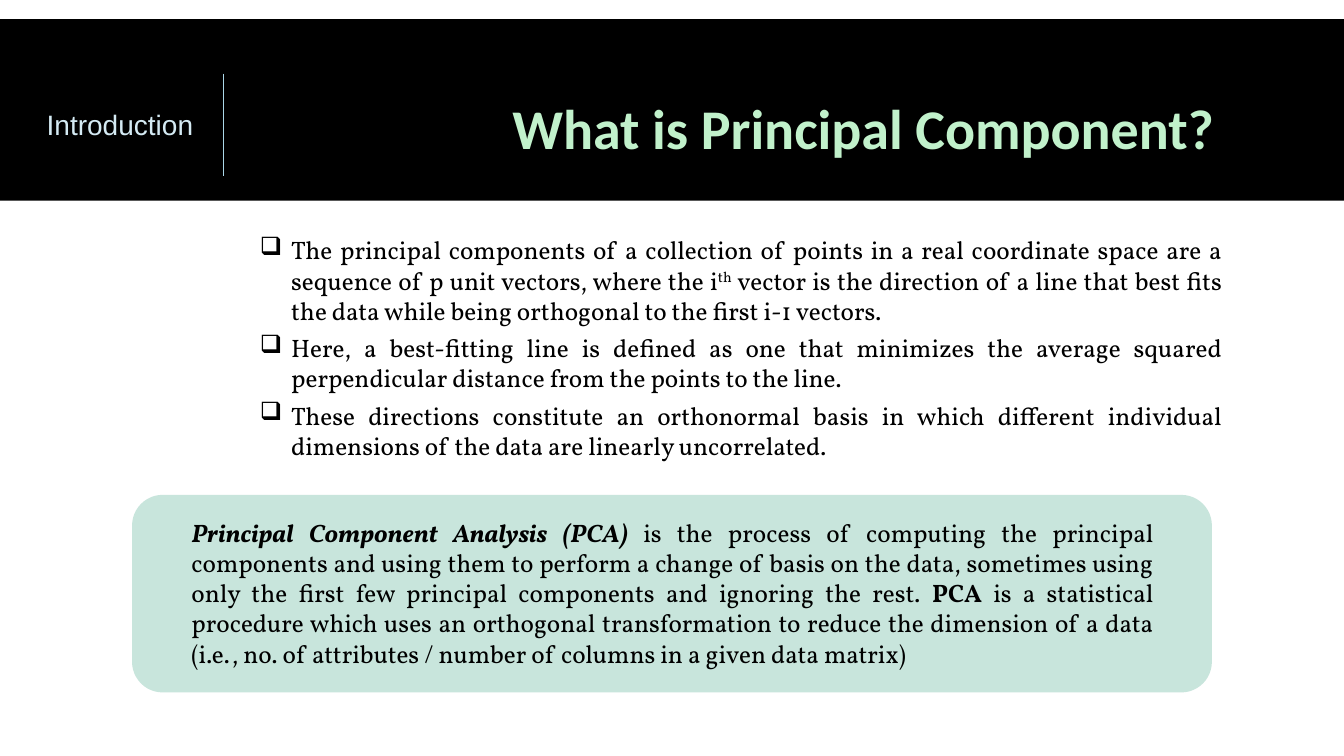
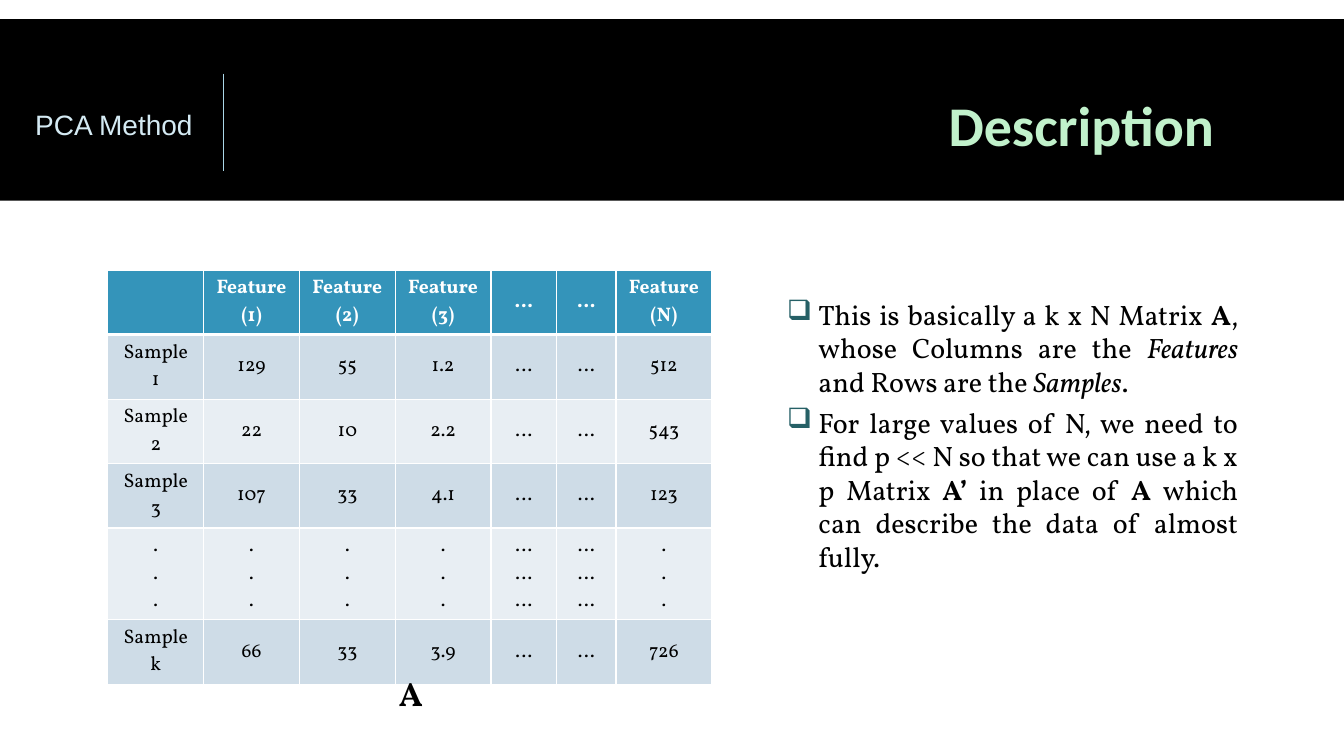
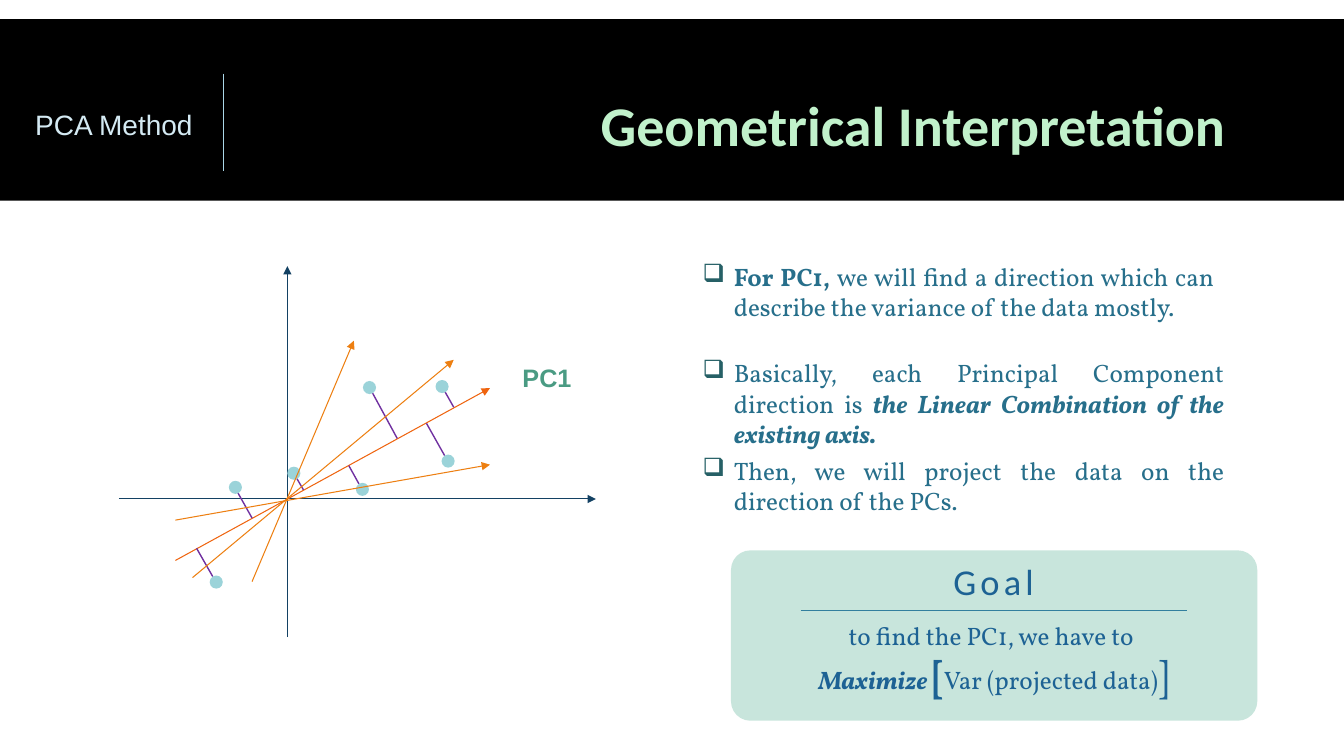
from lxml.etree import SubElement
from pptx import Presentation
from pptx.dml.color import RGBColor
from pptx.enum.shapes import MSO_CONNECTOR, MSO_SHAPE
from pptx.enum.text import MSO_ANCHOR, MSO_AUTO_SIZE, PP_ALIGN
from pptx.oxml.ns import qn
from pptx.util import Inches, Pt

COLORS = {
    "band": "000000", "title": "C1F1CB", "section": "D4EAF3", "rule": "AAD6E7",
    "panel": "C8E5DC", "ink": "000000", "white": "FFFFFF", "bullet": "266066",
    "head_row": "3494BA", "odd_row": "CEDCE7", "even_row": "E8EEF3",
    "axis": "134163", "pc1": "EF640F", "candidate": "ED7F11",
    "projection": "7030A0", "dot": "9BD3D9", "pc1_label": "4A9B83",
    "teal": "276F8B", "goal": "1D6294", "goal_rule": "327F9E",
}
BODY, HEADING, LABEL = "Vollkorn", "Calibri", "Arial"
BOLD = {"bold": True}
ITALIC = {"italic": True}
STRONG = {"bold": True, "italic": True}
DOT_SIZE = 0.13


def rgb(name):
    return RGBColor.from_string(COLORS[name])


# ---- Text ----
def write_run(paragraph, text, font=BODY, size=18, color="ink", bold=False,
              italic=False, superscript=False, tracking=0, outline=None):
    run = paragraph.add_run()
    run.text = text
    run.font.name = font
    run.font.size = Pt(size)
    run.font.bold = bold
    run.font.italic = italic
    run.font.color.rgb = rgb(color)
    properties = run.font._element
    if superscript:
        properties.set("baseline", "30000")
    if tracking:
        properties.set("spc", str(tracking * 100))
    if outline:
        edge = SubElement(properties, qn("a:ln"), w=str(Pt(0.25)))
        fill = SubElement(edge, qn("a:solidFill"))
        SubElement(fill, qn("a:srgbClr"), val=COLORS[outline])
        properties.insert(0, edge)


def add_bullet(paragraph, color):
    """Box bullet: the letter q in Wingdings."""
    properties = paragraph._p.get_or_add_pPr()
    properties.set("marL", str(Inches(0.31)))
    properties.set("indent", str(Inches(-0.31)))
    tint = SubElement(properties, qn("a:buClr"))
    SubElement(tint, qn("a:srgbClr"), val=COLORS[color])
    SubElement(properties, qn("a:buFont"), typeface="Wingdings", charset="2")
    SubElement(properties, qn("a:buChar"), char="q")


def write(frame, paragraphs, align=PP_ALIGN.CENTER, spacing=None, after=0,
          bullet=None, **run_format):
    """Each paragraph is a list of runs: a string, or a string with its format.

    after is one gap in points for all paragraphs, or a list of gaps.
    """
    gaps = after if isinstance(after, list) else [after] * len(paragraphs)
    for number, (runs, gap) in enumerate(zip(paragraphs, gaps)):
        paragraph = frame.add_paragraph() if number else frame.paragraphs[0]
        paragraph.alignment = align
        paragraph.space_after = Pt(gap)
        if spacing:
            paragraph.line_spacing = spacing
        if bullet:
            add_bullet(paragraph, bullet)
        for run in runs:
            text, own = (run, {}) if isinstance(run, str) else run
            write_run(paragraph, text, **{**run_format, **own})


def add_text(slide, at, paragraphs, anchor=MSO_ANCHOR.TOP, grow=True, **text_format):
    frame = slide.shapes.add_textbox(*map(Inches, at)).text_frame
    frame.word_wrap = True
    frame.vertical_anchor = anchor
    frame.auto_size = MSO_AUTO_SIZE.SHAPE_TO_FIT_TEXT if grow else MSO_AUTO_SIZE.NONE
    write(frame, paragraphs, **text_format)


def add_body(slide, at, paragraphs, **text_format):
    settings = {"align": PP_ALIGN.JUSTIFY, "after": 5}
    add_text(slide, at, paragraphs, **{**settings, **text_format})


# ---- Shapes, lines and tables ----
def add_block(slide, kind, at, color, rounding=None):
    block = slide.shapes.add_shape(kind, *map(Inches, at))
    block.shadow.inherit = False
    block.fill.solid()
    block.fill.fore_color.rgb = rgb(color)
    block.line.fill.background()
    if rounding:
        block.adjustments[0] = rounding


def add_line(slide, start, end, color, width=0.75, arrow=False):
    line = slide.shapes.add_connector(
        MSO_CONNECTOR.STRAIGHT, *map(Inches, (*start, *end)))
    line.line.color.rgb = rgb(color)
    line.line.width = Pt(width)
    properties = line._element.spPr
    if arrow:
        SubElement(properties.find(qn("a:ln")), qn("a:tailEnd"), type="triangle")
    SubElement(properties, qn("a:effectLst"))


def add_borders(cell, top, bottom):
    properties = cell._tc.get_or_add_tcPr()
    for side, width in (("lnL", 1), ("lnR", 1), ("lnT", top), ("lnB", bottom)):
        border = SubElement(properties, qn(f"a:{side}"), w=str(Pt(width)))
        fill = SubElement(border, qn("a:solidFill"))
        SubElement(fill, qn("a:srgbClr"), val=COLORS["white"])


def add_matrix(slide, at, widths, heights, rows):
    table = slide.shapes.add_table(
        len(rows), len(widths), *map(Inches, at)).table
    for column, width in zip(table.columns, widths):
        column.width = Inches(width)
    for row, height in zip(table.rows, heights):
        row.height = Inches(height)
    for r, values in enumerate(rows):
        is_head = r == 0
        fill = "head_row" if is_head else "odd_row" if r % 2 else "even_row"
        for c, value in enumerate(values):
            cell = table.cell(r, c)
            add_borders(cell, top=3 if r == 1 else 1, bottom=3 if is_head else 1)
            cell.fill.solid()
            cell.fill.fore_color.rgb = rgb(fill)
            cell.vertical_anchor = MSO_ANCHOR.MIDDLE
            if value:
                write(cell.text_frame, [[line] for line in value.split("\n")],
                      size=14, bold=is_head, color="white" if is_head else "ink")


# ---- Shared slide frame ----
def start_slide(deck, section, title, section_left=0.22, title_left=2.56,
                title_height=0.85, rule_end=1.7):
    slide = deck.slides.add_slide(deck.slide_layouts[6])
    add_block(slide, MSO_SHAPE.RECTANGLE, (0, 0.19, 13.33, 1.8), "band")
    add_text(slide, (title_left, 0.86, 9.58, title_height), [[title]],
             anchor=MSO_ANCHOR.MIDDLE, grow=False, align=PP_ALIGN.RIGHT,
             spacing=0.85, font=HEADING, size=40, color="title", bold=True)
    add_text(slide, (section_left, 1.02, 1.82, 0.44), [[section]],
             font=LABEL, size=20, color="section")
    add_line(slide, (2.21, 0.73), (2.21, rule_end), "rule", width=0.25)
    return slide


# ---- Slides ----
def build_introduction(deck):
    slide = start_slide(deck, "Introduction", "What is Principal Component?",
                        section_left=0.28, title_height=0.9, rule_end=1.75)
    add_body(slide, (2.48, 2.28, 9.74, 2.36), [
        ["The principal components of a collection of points in a real coordinate "
         "space are a sequence of p unit vectors, where the i",
         ("th", {"superscript": True}),
         " vector is the direction of a line that best fits the data while being "
         "orthogonal to the first i-1 vectors."],
        ["Here, a best-fitting line is defined as one that minimizes the average "
         "squared perpendicular distance from the points to the line."],
        ["These directions constitute an orthonormal basis in which different "
         "individual dimensions of the data are linearly uncorrelated. "],
    ], after=[5, 5, 0], bullet="ink")

    # Definition panel
    add_block(slide, MSO_SHAPE.ROUNDED_RECTANGLE, (1.31, 4.91, 10.71, 1.96),
              "panel", rounding=0.155)
    add_body(slide, (1.8, 5.08, 9.74, 1.62), [
        [("Principal Component Analysis (PCA) ", STRONG),
         "is the process of computing the principal components and using them to "
         "perform a change of basis on the data, sometimes using only the first few "
         "principal components and ignoring the rest. ",
         ("PCA", BOLD),
         " is a statistical procedure which uses an orthogonal transformation to "
         "reduce the dimension of a data (i.e., no. of attributes / number of columns "
         "in a given data matrix)"],
    ])


def build_description(deck):
    slide = start_slide(deck, "PCA Method", "Description")

    # Sample by feature matrix
    dots, gap = "\n".join("..."), "…"
    gaps = "\n".join([gap] * 3)
    rows = [
        ["", "Feature (1)", "Feature (2)", "Feature (3)", gap, gap, "Feature (N)"],
        ["Sample 1", "129", "55", "1.2", gap, gap, "512"],
        ["Sample 2", "22", "10", "2.2", gap, gap, "543"],
        ["Sample 3", "107", "33", "4.1", gap, gap, "123"],
        [dots] * 4 + [gaps] * 2 + [dots],
        ["Sample k", "66", "33", "3.9", gap, gap, "726"],
    ]
    add_matrix(slide, (1.07, 2.68, 5.99, 4.11),
               widths=[0.95] * 4 + [0.65, 0.59, 0.95],
               heights=[0.64] * 4 + [0.91, 0.64], rows=rows)
    add_text(slide, (3.73, 6.63, 0.69, 0.5), [["A"]], size=24, bold=True)

    # Explanation
    add_body(slide, (7.71, 2.9, 4.67, 2.86), [
        ["This is basically a k x N Matrix ", ("A", BOLD),
         ", whose Columns are the ", ("Features ", ITALIC),
         "and Rows are the ", ("Samples", ITALIC), "."],
        ["For large values of N, we need to find p << N so that we can use a k x p "
         "Matrix ", ("A’", BOLD), " in place of ", ("A ", BOLD),
         "which can describe the data of almost fully."],
    ], size=20, bullet="bullet")


def draw_projection_plot(slide):
    # Axes
    for start, end in (((1.18, 4.95), (5.91, 4.95)), ((2.85, 6.32), (2.85, 2.64))):
        add_line(slide, start, end, "axis", arrow=True)
    add_line(slide, (1.74, 5.56), (4.86, 3.85), "pc1", arrow=True)

    # Observations: dot corner, then both ends of the projection
    observations = [
        ((3.6, 3.78), (3.69, 3.89), (3.94, 4.35)),
        ((3.53, 4.79), (3.46, 4.62), (3.56, 4.8)),
        ((4.32, 3.77), (4.41, 3.88), (4.5, 4.04)),
        ((4.38, 4.51), (4.23, 4.2), (4.41, 4.52)),
        ((2.85, 4.63), (2.94, 4.74), (3.01, 4.86)),
        ((2.27, 4.77), (2.36, 4.89), (2.5, 5.14)),
        ((2.08, 5.71), (1.95, 5.44), (2.11, 5.72)),
    ]
    for corner, start, end in observations:
        add_line(slide, start, end, "projection", width=1)
        add_block(slide, MSO_SHAPE.OVAL, (*corner, DOT_SIZE, DOT_SIZE), "dot")

    # Other candidate directions
    candidates = [
        ((1.91, 5.73), (4.5, 3.57)),
        ((2.5, 5.77), (3.51, 3.38)),
        ((1.74, 5.16), (4.86, 4.61)),
    ]
    for start, end in candidates:
        add_line(slide, start, end, "candidate", arrow=True)
    add_text(slide, (4.97, 3.55, 0.91, 0.4), [["PC1"]],
             font=LABEL, color="pc1_label", bold=True)


def build_interpretation(deck):
    slide = start_slide(deck, "PCA Method", "Geometrical Interpretation",
                        title_left=2.67)
    draw_projection_plot(slide)

    # Explanation
    add_body(slide, (6.87, 2.54, 5.27, 1.01), [
        [("For PC1, ", BOLD),
         "we will find a direction which can describe the variance of the data "
         "mostly."],
    ], color="teal", bullet="bullet")
    add_body(slide, (6.87, 3.5, 5.37, 1.69), [
        ["Basically, each Principal Component direction is ",
         ("the Linear Combination of the existing axis.", STRONG)],
        ["Then, we will project the data on the direction of the PCs."],
    ], color="teal", bullet="bullet")

    # Goal panel
    add_block(slide, MSO_SHAPE.ROUNDED_RECTANGLE, (7.25, 5.46, 5.22, 1.69),
              "panel", rounding=0.114)
    goal_format = {"font": HEADING, "size": 26, "tracking": 3, "outline": "goal_rule"}
    add_text(slide, (7.35, 5.48, 5.01, 1.51), [
        [("Goal", goal_format)],
        ["to find the PC1, we have to "],
        [("Maximize ", STRONG), ("[", {"size": 28, "bold": True}),
         "Var (projected data)", ("]", {"size": 28})],
    ], anchor=MSO_ANCHOR.MIDDLE, after=[12, 0, 5], color="goal")
    add_line(slide, (7.94, 6.06), (11.77, 6.06), "goal_rule")


def main():
    deck = Presentation()
    deck.slide_width = Inches(13.33)
    deck.slide_height = Inches(7.5)
    build_introduction(deck)
    build_description(deck)
    build_interpretation(deck)
    deck.save("out.pptx")


main()
